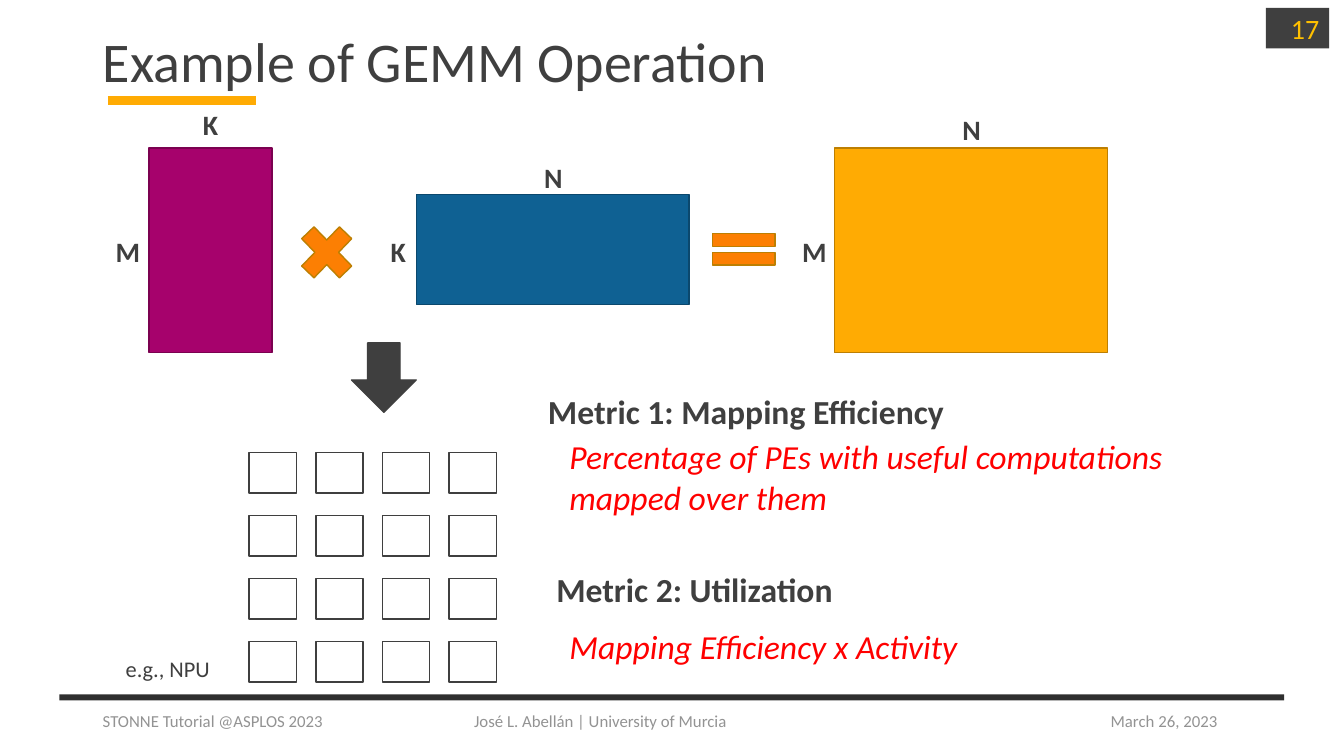
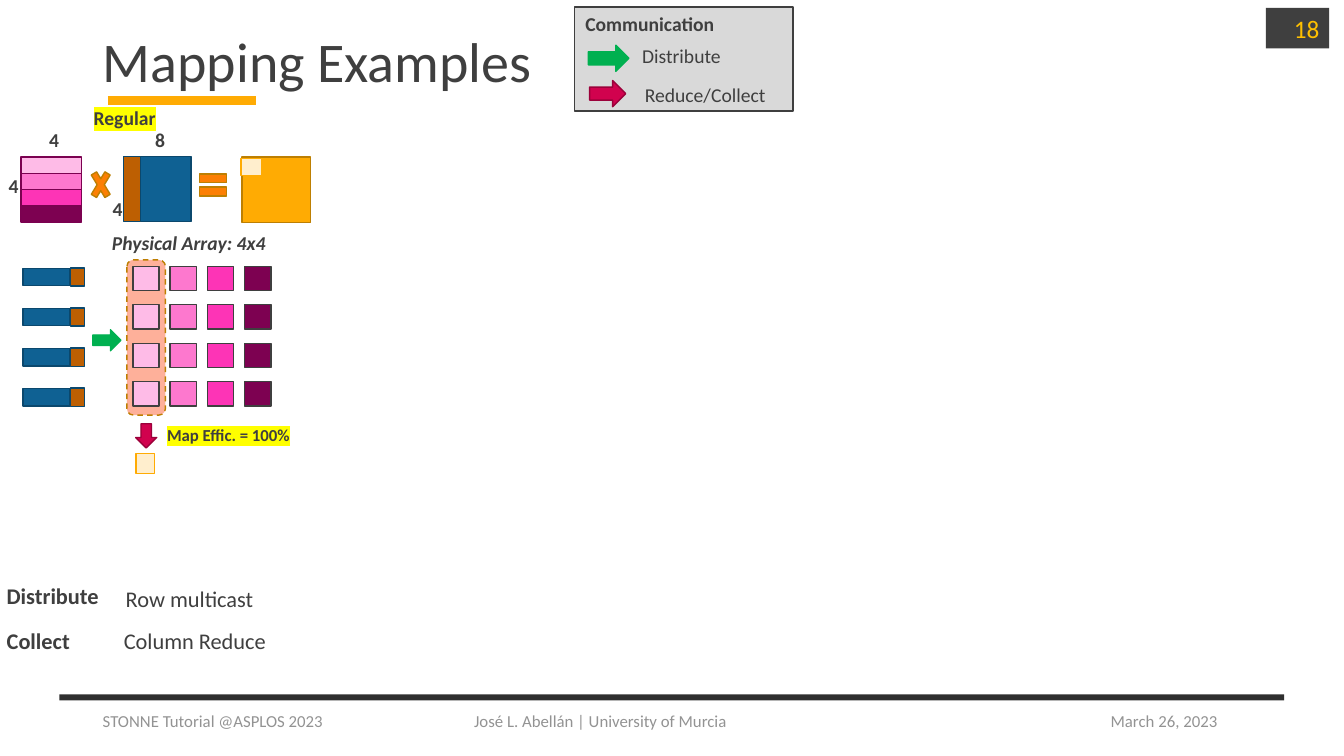
from dataclasses import dataclass
from typing import NamedTuple, Optional

from pptx import Presentation
from pptx.dml.color import RGBColor
from pptx.enum.dml import MSO_LINE
from pptx.enum.shapes import MSO_CONNECTOR, MSO_SHAPE
from pptx.enum.text import MSO_ANCHOR, MSO_AUTO_SIZE, PP_ALIGN
from pptx.oxml.ns import qn
from pptx.oxml.xmlchemy import OxmlElement
from pptx.presentation import Presentation as Deck
from pptx.shapes.autoshape import Shape
from pptx.slide import Slide
from pptx.text.text import TextFrame
from pptx.util import Cm, Pt


@dataclass(frozen=True)
class Theme:
    font: str = "Calibri"
    ink: str = "3F3F3F"
    white: str = "FFFFFF"
    muted: str = "939393"
    bar: str = "2F2F2F"
    page: str = "FFC000"
    red: str = "FF0000"
    highlight: str = "FFFF00"
    panel: str = "D9D9D9"
    amber: str = "FFAB03"
    amber_edge: str = "BD7F02"
    cream: str = "FFEECD"
    orange: str = "FC7F03"
    brown: str = "BD5F02"
    blue: str = "0F6193"
    blue_edge: str = "0B486D"
    magenta: str = "A6026C"
    magenta_edge: str = "7B0150"
    row_shades: tuple[str, ...] = ("FEBBE7", "FD78CE", "FD34B6", "7D0151")
    salmon: str = "FEB09A"
    green: str = "00B050"
    crimson: str = "D1024E"
    crimson_edge: str = "9B013A"
    title_size: int = 40
    metric_size: int = 24
    dimension_size: int = 20
    body_size: int = 16
    label_size: int = 14
    small_size: int = 12


THEME = Theme()


class Box(NamedTuple):
    left: float
    top: float
    width: float
    height: float


class Style(NamedTuple):
    size: int
    bold: bool = False
    italic: bool = False
    color: str = THEME.ink
    align: PP_ALIGN = PP_ALIGN.LEFT
    anchor: MSO_ANCHOR = MSO_ANCHOR.TOP
    highlight: Optional[str] = None


class Block(NamedTuple):
    box: Box
    fill: str
    edge: Optional[str] = None
    kind: MSO_SHAPE = MSO_SHAPE.RECTANGLE
    rotation: int = 0
    dashed: bool = False


class Label(NamedTuple):
    text: str
    box: Box
    style: Style


TITLE = Style(THEME.title_size, anchor=MSO_ANCHOR.MIDDLE)
FOOTER = Style(THEME.small_size, color=THEME.muted, anchor=MSO_ANCHOR.MIDDLE)
METRIC = Style(THEME.metric_size, bold=True)
DEFINITION = Style(THEME.metric_size, italic=True, color=THEME.red)
DIMENSION = Style(THEME.dimension_size, bold=True, align=PP_ALIGN.CENTER)
SMALL_DIMENSION = DIMENSION._replace(size=THEME.label_size)
BODY = Style(THEME.body_size)
BODY_BOLD = Style(THEME.body_size, bold=True)
LEGEND = Style(THEME.label_size)
LEGEND_BOLD = Style(THEME.label_size, bold=True)
FOOTER_TAB = 9.36


def rgb(color: str) -> RGBColor:
    return RGBColor.from_string(color)


def lengths(box: Box) -> tuple[Cm, ...]:
    return tuple(Cm(value) for value in box)


def write(frame: TextFrame, text: str, style: Style) -> None:
    frame.word_wrap = True
    frame.auto_size = MSO_AUTO_SIZE.NONE
    frame.vertical_anchor = style.anchor
    frame.text = text
    paragraph = frame.paragraphs[0]
    paragraph.alignment = style.align
    for run in paragraph.runs:
        font = run.font
        font.size = Pt(style.size)
        font.bold = style.bold
        font.italic = style.italic
        font.color.rgb = rgb(style.color)
        font.name = THEME.font
        if style.highlight:
            highlight = OxmlElement("a:highlight")
            color = OxmlElement("a:srgbClr")
            color.set("val", style.highlight)
            highlight.append(color)
            run._r.get_or_add_rPr().find(qn("a:solidFill")).addnext(highlight)


def draw_block(slide: Slide, block: Block) -> Shape:
    shape = slide.shapes.add_shape(block.kind, *lengths(block.box))
    shape.shadow.inherit = False
    shape.rotation = block.rotation
    shape.fill.solid()
    shape.fill.fore_color.rgb = rgb(block.fill)
    if block.edge is None:
        shape.line.fill.background()
    else:
        shape.line.color.rgb = rgb(block.edge)
        shape.line.width = Pt(1)
        if block.dashed:
            shape.line.dash_style = MSO_LINE.DASH
    return shape


def draw_label(slide: Slide, label: Label) -> Shape:
    shape = slide.shapes.add_textbox(*lengths(label.box))
    write(shape.text_frame, label.text, label.style)
    return shape


def draw_all(slide: Slide, blocks: list[Block], labels: list[Label]) -> None:
    for block in blocks:
        draw_block(slide, block)
    for label in labels:
        draw_label(slide, label)


def draw_footer(slide: Slide) -> None:
    footer = draw_label(slide, Label(
        "STONNE Tutorial @ASPLOS 2023\tJosé L. Abellán | University of Murcia",
        Box(2.34, 17.65, 20.75, 1.02), FOOTER))
    tabs = OxmlElement("a:tabLst")
    tab = OxmlElement("a:tab")
    tab.set("pos", str(int(Cm(FOOTER_TAB))))
    tab.set("algn", "l")
    tabs.append(tab)
    footer.text_frame.paragraphs[0]._p.get_or_add_pPr().append(tabs)
    draw_label(slide, Label("March 26, 2023", Box(27.74, 17.65, 5.79, 1.02), FOOTER))


def start_slide(deck: Deck, title: str, number: str, number_size: int) -> Slide:
    slide = deck.slides.add_slide(deck.slide_layouts[5])
    heading = slide.shapes.title
    heading.left, heading.top, heading.width, heading.height = lengths(
        Box(2.34, 0.71, 29.21, 1.83))
    write(heading.text_frame, title, TITLE)
    heading.text_frame.paragraphs[0].line_spacing = 0.9

    underline = slide.shapes.add_connector(
        MSO_CONNECTOR.STRAIGHT, Cm(2.72), Cm(2.54), Cm(6.45), Cm(2.54))
    underline.line.color.rgb = rgb(THEME.amber)
    underline.line.width = Pt(6.25)
    underline._element.spPr.append(OxmlElement("a:effectLst"))

    draw_block(slide, Block(Box(1.5, 17.5, 30.86, 0.15), THEME.bar))
    badge = draw_block(slide, Block(Box(31.9, 0.2, 1.6, 1.02), THEME.ink))
    write(badge.text_frame, number, Style(
        number_size, color=THEME.page, align=PP_ALIGN.RIGHT, anchor=MSO_ANCHOR.MIDDLE))
    draw_footer(slide)
    return slide


def grid_box(first: Box, column: int, row: int, step_x: float, step_y: float) -> Box:
    return first._replace(left=first.left + column * step_x, top=first.top + row * step_y)


def build_gemm(deck: Deck) -> None:
    slide = start_slide(deck, "Example of GEMM Operation", "17", 20)
    first_pe = Box(6.28, 11.4, 1.19, 1.02)
    blocks = [
        Block(Box(3.76, 3.73, 3.1, 5.16), THEME.magenta, THEME.magenta_edge),
        Block(Box(10.49, 4.9, 6.88, 2.77), THEME.blue, THEME.blue_edge),
        Block(Box(21.03, 3.73, 6.88, 5.16), THEME.amber, THEME.amber_edge),
        Block(Box(7.32, 5.41, 1.83, 1.9), THEME.orange, THEME.amber_edge,
              MSO_SHAPE.MATH_MULTIPLY),
        Block(Box(17.68, 5.61, 2.13, 1.35), THEME.orange, THEME.amber_edge,
              MSO_SHAPE.MATH_EQUAL),
        Block(Box(8.86, 8.64, 1.63, 1.75), THEME.ink, THEME.ink, MSO_SHAPE.DOWN_ARROW),
    ]
    blocks += [Block(grid_box(first_pe, column, row, 1.68, 1.59), THEME.white, THEME.ink)
               for row in range(4) for column in range(4)]
    dimensions = [("K", 4.62, 2.59), ("M", 2.54, 5.79), ("K", 9.35, 5.79),
                  ("N", 13.26, 3.91), ("M", 19.84, 5.79), ("N", 23.8, 2.72)]
    labels = [Label(text, Box(left, top, 1.37, 1.12), DIMENSION)
              for text, left, top in dimensions]
    labels += [
        Label("Metric 1: Mapping Efficiency", Box(13.56, 9.73, 14.38, 1.27), METRIC),
        Label("Percentage of PEs with useful computations mapped over them",
              Box(14.1, 10.87, 18.2, 2.31), DEFINITION),
        Label("Metric 2: Utilization", Box(13.77, 14.2, 12.6, 1.27), METRIC),
        Label("Mapping Efficiency x Activity", Box(14.1, 15.65, 16.15, 1.27), DEFINITION),
        Label("e.g., NPU", Box(2.92, 16.38, 3.28, 0.94), BODY),
    ]
    draw_all(slide, blocks, labels)


def build_mapping(deck: Deck) -> None:
    slide = start_slide(deck, "Mapping Examples", "18", 18)
    first_row = Box(0.53, 3.96, 1.52, 0.41)
    first_pe = Box(3.35, 6.71, 0.66, 0.61)
    first_stream = Box(0.58, 6.76, 1.19, 0.44)
    first_element = Box(1.77, 6.75, 0.36, 0.46)

    blocks = [
        Block(Box(6.1, 3.96, 1.73, 1.65), THEME.amber, THEME.amber_edge),
        Block(Box(3.4, 3.94, 1.42, 1.65), THEME.blue, THEME.blue_edge),
        Block(Box(3.12, 3.94, 0.43, 1.65), THEME.brown, THEME.blue_edge),
        Block(Box(6.07, 3.99, 0.53, 0.43), THEME.cream, THEME.amber),
        Block(Box(2.21, 4.11, 0.66, 1.09), THEME.orange, THEME.amber_edge,
              MSO_SHAPE.MATH_MULTIPLY),
        Block(Box(4.9, 4.19, 0.94, 0.94), THEME.orange, THEME.amber_edge,
              MSO_SHAPE.MATH_EQUAL),
        Block(Box(3.2, 6.55, 0.97, 3.91), THEME.salmon, THEME.amber_edge,
              MSO_SHAPE.ROUNDED_RECTANGLE, dashed=True),
    ]
    for index, shade in enumerate(THEME.row_shades):
        blocks.append(Block(grid_box(first_row, 0, index, 0, 0.41), shade, THEME.magenta_edge))
        blocks += [Block(grid_box(first_pe, index, row, 0.94, 0.97), shade, THEME.ink)
                   for row in range(4)]
        blocks += [Block(grid_box(first, 0, index, 0, 1.01), fill, THEME.blue_edge)
                   for first, fill in ((first_stream, THEME.blue), (first_element, THEME.brown))]
    blocks += [
        Block(Box(2.34, 8.31, 0.71, 0.53), THEME.green, THEME.green, MSO_SHAPE.RIGHT_ARROW),
        Block(Box(3.43, 11.43, 0.46, 0.51), THEME.cream, THEME.amber),
        Block(Box(3.38, 10.72, 0.61, 0.53), THEME.crimson, THEME.crimson_edge,
              MSO_SHAPE.RIGHT_ARROW, rotation=90),
        Block(Box(14.48, 0.18, 5.51, 2.62), THEME.panel, THEME.ink),
        Block(Box(14.83, 1.14, 1.02, 0.66), THEME.green, THEME.green, MSO_SHAPE.RIGHT_ARROW),
        Block(Box(14.86, 2.03, 0.91, 0.66), THEME.crimson, THEME.crimson_edge,
              MSO_SHAPE.RIGHT_ARROW),
    ]
    dimensions = [("4", -0.03, 4.27), ("4", 0.99, 3.1), ("8", 3.66, 3.1), ("4", 2.59, 4.83)]
    labels = [Label(text, Box(left, top, 0.64, 0.86), SMALL_DIMENSION)
              for text, left, top in dimensions]
    labels += [
        Label("Map Effic. = 100%", Box(3.96, 10.59, 5.28, 0.76),
              Style(THEME.small_size, bold=True, highlight=THEME.highlight)),
        Label("Regular", Box(2.11, 2.54, 2.54, 0.86),
              LEGEND_BOLD._replace(highlight=THEME.highlight)),
        Label("Physical Array: 4x4", Box(2.57, 5.69, 5.61, 0.86),
              LEGEND_BOLD._replace(italic=True)),
        Label("Distribute", Box(-0.08, 14.55, 3.81, 0.94), BODY_BOLD),
        Label("Collect", Box(-0.08, 15.67, 3.81, 0.94), BODY_BOLD),
        Label("Row multicast", Box(2.92, 14.63, 4.5, 0.94), BODY),
        Label("Column Reduce", Box(2.87, 15.67, 4.5, 0.94), BODY),
        Label("Communication", Box(14.5, 0.18, 4.83, 0.86), LEGEND_BOLD),
        Label("Distribute", Box(15.93, 0.97, 2.87, 0.86), LEGEND),
        Label("Reduce/Collect", Box(16, 1.96, 4.32, 0.86), LEGEND),
    ]
    draw_all(slide, blocks, labels)


def main() -> None:
    deck = Presentation()
    deck.slide_width, deck.slide_height = Cm(33.87), Cm(19.05)
    build_gemm(deck)
    build_mapping(deck)
    deck.save("out.pptx")


if __name__ == "__main__":
    main()
